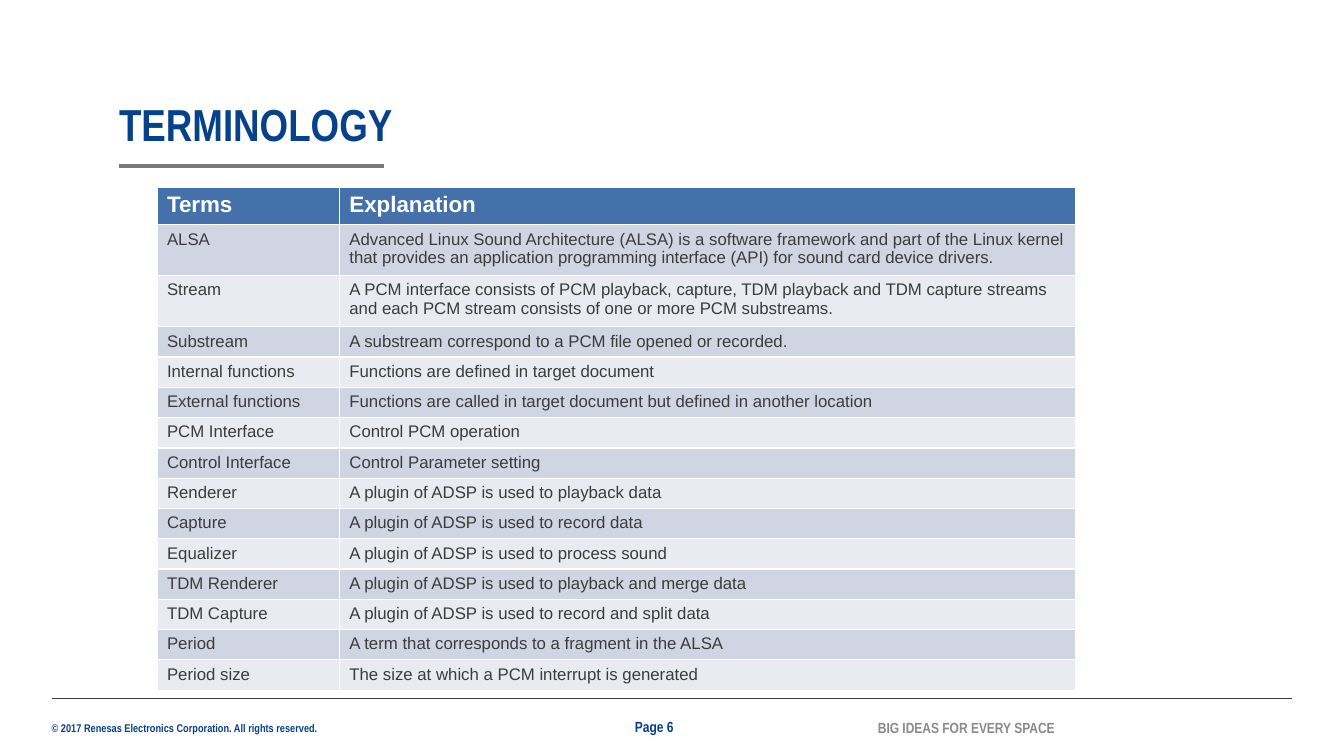
"""Build the terminology slide: a titled two-column glossary table with a footer."""
from pptx import Presentation
from pptx.dml.color import RGBColor
from pptx.enum.shapes import MSO_CONNECTOR
from pptx.enum.text import MSO_ANCHOR, MSO_AUTO_SIZE
from pptx.oxml.ns import qn
from pptx.util import Pt
from lxml.etree import SubElement

NAVY, INK, GREY, SILVER, WHITE = "06418C", "3C3C3B", "797979", "8B8B89", "FFFFFF"
HEADER_FILL, BAND_FILLS = "4471A9", ("CFD5E2", "E9EBF1")

TERMS = [
    ("Terms", "Explanation"),
    ("ALSA", "Advanced Linux Sound Architecture (ALSA) is a software framework and part of the "
             "Linux kernel that provides an application programming interface (API) for sound "
             "card device drivers."),
    ("Stream", "A PCM interface consists of PCM playback, capture, TDM playback and TDM capture "
               "streams and each PCM stream consists of one or more PCM substreams."),
    ("Substream", "A substream correspond to a PCM file opened or recorded."),
    ("Internal functions", "Functions are defined in target document"),
    ("External functions", "Functions are called in target document but defined in another location"),
    ("PCM Interface", "Control PCM operation"),
    ("Control Interface", "Control Parameter setting"),
    ("Renderer", "A plugin of ADSP is used to playback data"),
    ("Capture", "A plugin of ADSP is used to record data"),
    ("Equalizer", "A plugin of ADSP is used to process sound"),
    ("TDM Renderer", "A plugin of ADSP is used to playback and merge data"),
    ("TDM Capture", "A plugin of ADSP is used to record and split data"),
    ("Period", "A term that corresponds to a fragment in the ALSA"),
    ("Period size", "The size at which a PCM interrupt is generated"),
]
COLUMN_WIDTHS = (130.3, 525.6)
TALL_ROWS = {0: 22.3, 1: 36, 2: 36.9}
ROW_HEIGHT = 18.7

TEXTS = [
    ("TERMINOLOGY", (85, 73.4, 671, 34.6), 32, NAVY, MSO_ANCHOR.BOTTOM, True),
    ("© 2017 Renesas Electronics Corporation. All rights reserved.",
     (36.9, 515.5, 193, 9.4), 8, NAVY, MSO_ANCHOR.TOP, False),
    ("Page 6", (453.6, 512.6, 52.6, 13), 10.5, NAVY, MSO_ANCHOR.MIDDLE, True),
    ("BIG IDEAS FOR EVERY SPACE", (627.1, 513.4, 129.6, 13), 10.5, SILVER, MSO_ANCHOR.MIDDLE, True),
]
RULES = [(85, 274.3, 118.8, GREY, 3), (36.9, 923, 499, INK, 0.5)]


def color(value):
    return RGBColor.from_string(value)


def set_font(paragraph, name, size, value, bold):
    font = paragraph.font
    font.name, font.size, font.bold = name, Pt(size), bold
    font.color.rgb = color(value)


def add_text(slide, text, box, size, value, anchor, wrap):
    frame = slide.shapes.add_textbox(*map(Pt, box)).text_frame
    frame.margin_left = frame.margin_top = frame.margin_right = frame.margin_bottom = 0
    frame.word_wrap, frame.vertical_anchor = wrap, anchor
    frame.auto_size = MSO_AUTO_SIZE.SHAPE_TO_FIT_TEXT
    paragraph = frame.paragraphs[0]
    paragraph.text = text
    set_font(paragraph, "Arial Narrow", size, value, True)
    return paragraph


def add_rule(slide, left, right, top, value, width):
    rule = slide.shapes.add_connector(MSO_CONNECTOR.STRAIGHT, Pt(left), Pt(top), Pt(right), Pt(top))
    rule.line.color.rgb = color(value)
    rule.line.width = Pt(width)
    SubElement(rule._element.spPr, qn("a:effectLst"))


def add_terms(slide):
    heights = [TALL_ROWS.get(index, ROW_HEIGHT) for index in range(len(TERMS))]
    table = slide.shapes.add_table(len(TERMS), len(COLUMN_WIDTHS), Pt(112.1), Pt(134.1),
                                   Pt(sum(COLUMN_WIDTHS)), Pt(sum(heights))).table
    for column, width in zip(table.columns, COLUMN_WIDTHS):
        column.width = Pt(width)
    for index, (row, texts) in enumerate(zip(table.rows, TERMS)):
        row.height = Pt(heights[index])
        header = index == 0
        for cell, text in zip(row.cells, texts):
            cell.text = text
            cell.fill.solid()
            cell.fill.fore_color.rgb = color(HEADER_FILL if header else BAND_FILLS[(index - 1) % 2])
            set_font(cell.text_frame.paragraphs[0], "Arial", 16 if header else 12,
                     WHITE if header else INK, header)


def main():
    presentation = Presentation()
    presentation.slide_width, presentation.slide_height = Pt(960), Pt(540)
    slide = presentation.slides.add_slide(presentation.slide_layouts[6])
    for rule in RULES:
        add_rule(slide, *rule)
    title, *_ = [add_text(slide, *text) for text in TEXTS]
    title.line_spacing = 0.9
    add_terms(slide)
    presentation.save("out.pptx")


if __name__ == "__main__":
    main()
